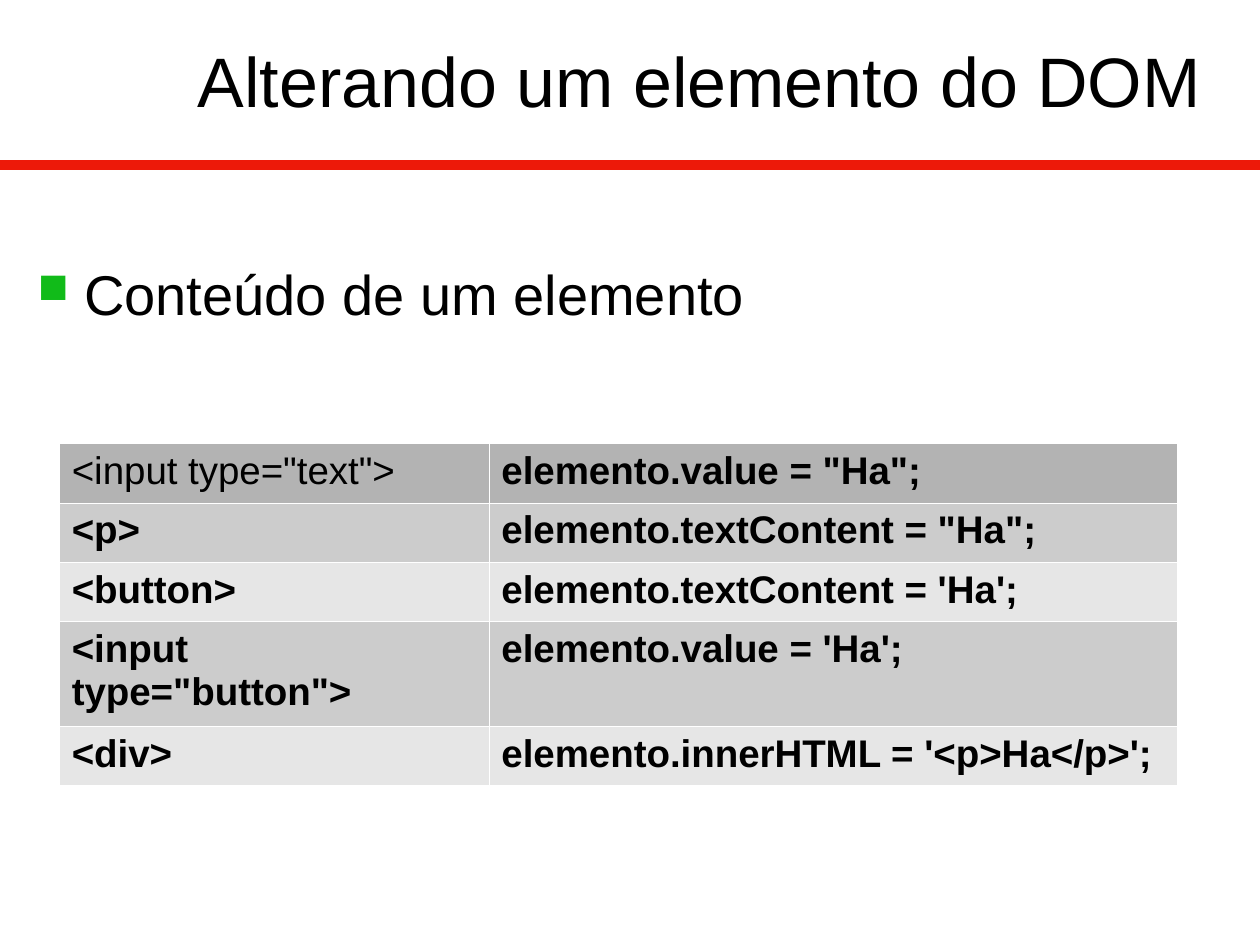
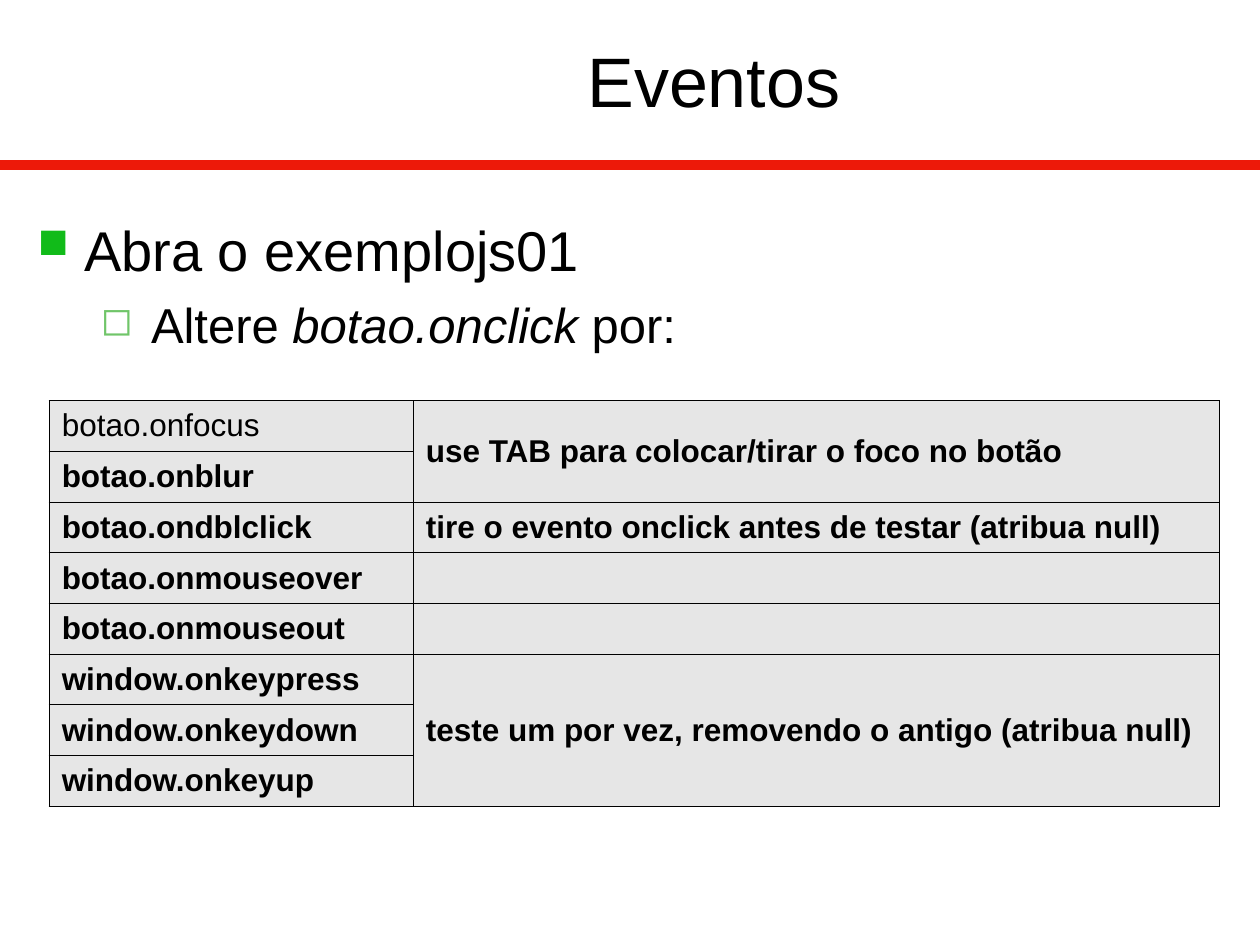
import pptx
import pptx.util
import pptx.dml.color
import pptx.enum.shapes
import pptx.enum.text
import pptx.oxml
import pptx.oxml.ns
import lxml.etree


class Theme:
    font = "Arial"
    ink = pptx.dml.color.RGBColor.from_string("000000")
    rule = pptx.dml.color.RGBColor.from_string("ED1909")
    rule_width = pptx.util.Pt(6)
    title_size = 40
    header_fill = "B3B3B3"
    dark_fill = "CCCCCC"
    light_fill = "E6E6E6"
    white_border = ("FFFFFF", 0.06)
    black_border = ("000000", 0.57)
    bullets = [
        dict(char="■", color="11BB19", share=75, size=32, before=0, left=3.7, hang=3.7),
        dict(char="◻", color="70C569", share=80, size=28, before=7, left=9, hang=4),
    ]


deck = pptx.Presentation()
deck.slide_width = pptx.util.Inches(10)
deck.slide_height = pptx.util.Inches(7.5)
COLUMNS = 100
CELL = deck.slide_width / COLUMNS
MIDDLE = pptx.enum.text.MSO_ANCHOR.MIDDLE
TOP = pptx.enum.text.MSO_ANCHOR.TOP
CENTER = pptx.enum.text.PP_ALIGN.CENTER
FRAME = dict(zip(("margin_left", "margin_top", "margin_right", "margin_bottom"),
                 (round(CELL * share) for share in (1, 0.5, 1, 0.5))))


def grid(*cells):
    return [round(CELL * cell) for cell in cells]


def apply(target, values):
    for name, value in values.items():
        setattr(target, name, value)


pages = [
    dict(
        title="Alterando um elemento do DOM",
        title_at=(11, -0.9, 89, 14.4),
        body_inset=6.7,
        body=[(0, [("Conteúdo de um elemento", False)])],
        table_at=(4.7, 35.2, 88.7, 23.5),
        widths=(34.1, 54.6),
        size=22,
        anchor=TOP,
        border=Theme.white_border,
        header=Theme.header_fill,
        bands=(Theme.light_fill, Theme.dark_fill),
        rows=[
            ('<input type="text">', 'elemento.value = "Ha";'),
            ("<p>", 'elemento.textContent = "Ha";'),
            ("<button>", "elemento.textContent = 'Ha';"),
            ('<input type="button">', "elemento.value = 'Ha';"),
            ("<div>", "elemento.innerHTML = '<p>Ha</p>';"),
        ],
        merges=[],
    ),
    dict(
        title="Eventos",
        title_at=(15.3, -0.9, 82.7, 14.4),
        body_inset=3.2,
        body=[
            (0, [("Abra o exemplojs01", False)]),
            (1, [("Altere ", False), ("botao.onclick", True), (" por:", False)]),
        ],
        table_at=(3.9, 31.8, 92.9, 32.2),
        widths=(28.9, 64),
        size=18,
        anchor=MIDDLE,
        border=Theme.black_border,
        header=Theme.light_fill,
        bands=(Theme.light_fill, Theme.light_fill),
        rows=[
            ("botao.onfocus", "use TAB para colocar/tirar o foco no botão"),
            ("botao.onblur", ""),
            ("botao.ondblclick", "tire o evento onclick antes de testar (atribua null)"),
            ("botao.onmouseover", ""),
            ("botao.onmouseout", ""),
            ("window.onkeypress", "teste um por vez, removendo o antigo (atribua null)"),
            ("window.onkeydown", ""),
            ("window.onkeyup", ""),
        ],
        merges=[(0, 1), (5, 7)],
    ),
]

for content in pages:
    page = deck.slides.add_slide(deck.slide_layouts[6])

    rule = page.shapes.add_connector(
        pptx.enum.shapes.MSO_CONNECTOR.STRAIGHT, *grid(0, 13.1, COLUMNS, 13.1))
    rule.line.color.rgb = Theme.rule
    rule.line.width = Theme.rule_width
    lxml.etree.SubElement(rule._element.spPr, pptx.oxml.ns.qn("a:effectLst"))

    box = page.shapes.add_textbox(*grid(*content["title_at"]))
    apply(box.text_frame, {**FRAME, "word_wrap": True, "vertical_anchor": MIDDLE})
    para = box.text_frame.paragraphs[0]
    para.alignment = CENTER
    span = para.add_run()
    span.text = content["title"]
    apply(span.font, dict(name=Theme.font, size=pptx.util.Pt(Theme.title_size)))
    span.font.color.rgb = Theme.ink

    box = page.shapes.add_textbox(*grid(2, 13.9, 96.1, 58.6))
    apply(box.text_frame, {**FRAME, "word_wrap": True, "vertical_anchor": TOP,
                           "margin_top": grid(content["body_inset"])[0]})
    for index, (level, spans) in enumerate(content["body"]):
        bullet = Theme.bullets[level]
        para = box.text_frame.add_paragraph() if index else box.text_frame.paragraphs[0]
        apply(para, dict(level=level, space_before=pptx.util.Pt(bullet["before"])))
        left, hang = grid(bullet["left"], bullet["hang"])
        settings = para._p.get_or_add_pPr()
        settings.set("marL", str(left))
        settings.set("indent", str(-hang))
        color = lxml.etree.SubElement(settings, pptx.oxml.ns.qn("a:buClr"))
        lxml.etree.SubElement(color, pptx.oxml.ns.qn("a:srgbClr"), val=bullet["color"])
        lxml.etree.SubElement(settings, pptx.oxml.ns.qn("a:buSzPct"),
                              val=str(bullet["share"] * 1000))
        lxml.etree.SubElement(settings, pptx.oxml.ns.qn("a:buChar"), char=bullet["char"])
        for text, italic in spans:
            span = para.add_run()
            span.text = text
            apply(span.font, dict(name=Theme.font, size=pptx.util.Pt(bullet["size"]),
                                  italic=italic))
            span.font.color.rgb = Theme.ink

    rows = content["rows"]
    table = page.shapes.add_table(
        len(rows), len(content["widths"]), *grid(*content["table_at"])).table
    apply(table, dict(first_row=False, horz_banding=False))
    for column, width in zip(table.columns, grid(*content["widths"])):
        column.width = width
    border_color, border_width = content["border"]
    for row, texts in enumerate(rows):
        fill = content["bands"][row % 2] if row else content["header"]
        for column, text in enumerate(texts):
            cell = table.cell(row, column)
            apply(cell, {**FRAME, "vertical_anchor": content["anchor"]})
            settings = cell._tc.get_or_add_tcPr()
            for side in ("lnL", "lnR", "lnT", "lnB"):
                edge = lxml.etree.SubElement(settings, pptx.oxml.ns.qn(f"a:{side}"),
                                             w=str(pptx.util.Pt(border_width)))
                paint = lxml.etree.SubElement(edge, pptx.oxml.ns.qn("a:solidFill"))
                lxml.etree.SubElement(paint, pptx.oxml.ns.qn("a:srgbClr"), val=border_color)
            cell.fill.solid()
            cell.fill.fore_color.rgb = pptx.dml.color.RGBColor.from_string(fill)
            if text:
                span = cell.text_frame.paragraphs[0].add_run()
                span.text = text
                apply(span.font, dict(name=Theme.font, size=pptx.util.Pt(content["size"]),
                                      bold=row + column > 0))
                span.font.color.rgb = Theme.ink
    for first, last in content["merges"]:
        table.cell(first, 1).merge(table.cell(last, 1))

deck.save("out.pptx")
